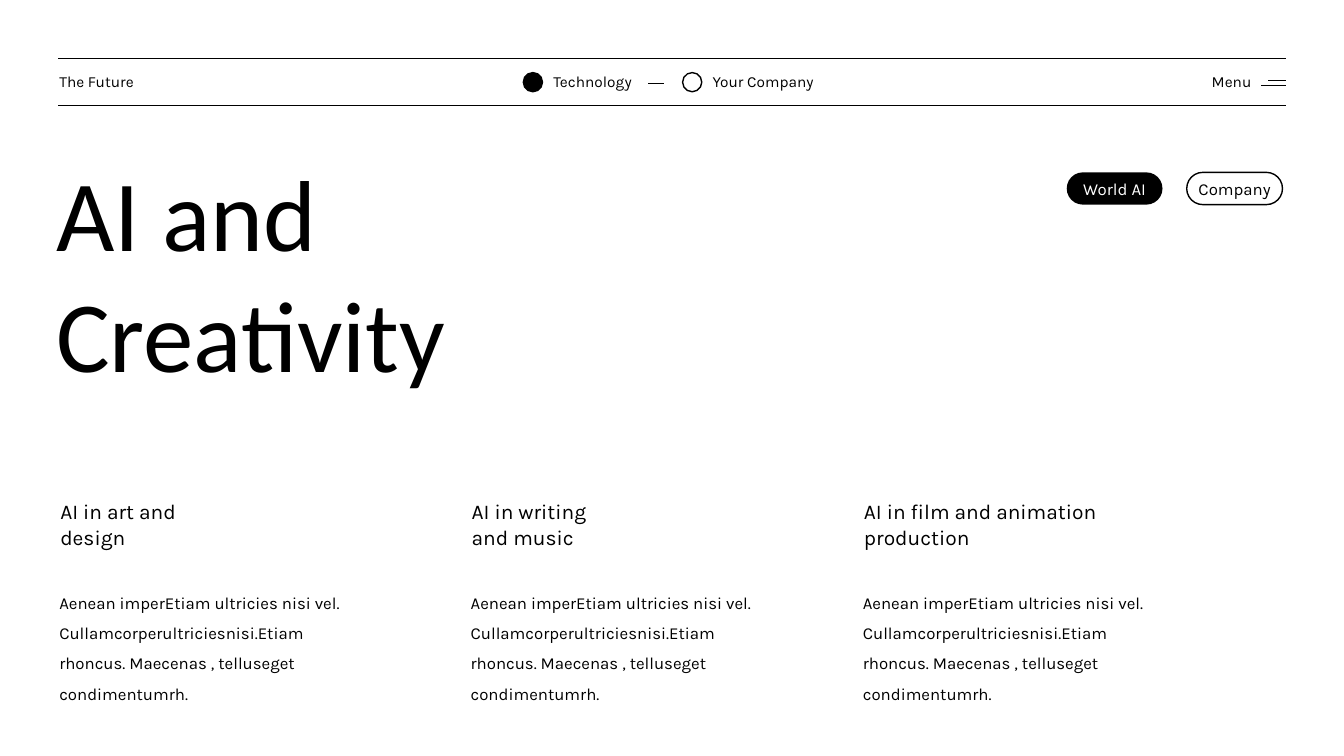
"""Build the AI and Creativity slide."""
from dataclasses import dataclass

from lxml.etree import SubElement
from pptx import Presentation
from pptx.dml.color import RGBColor
from pptx.enum.shapes import MSO_CONNECTOR, MSO_SHAPE
from pptx.enum.text import MSO_ANCHOR, MSO_AUTO_SIZE, PP_ALIGN
from pptx.oxml.ns import qn
from pptx.shapes.autoshape import Shape
from pptx.slide import Slide
from pptx.text.text import TextFrame
from pptx.util import Inches, Pt

BLACK = RGBColor(0x00, 0x00, 0x00)
WHITE = RGBColor(0xFF, 0xFF, 0xFF)
BODY = (
    "Aenean imperEtiam ultricies nisi vel. Cullamcorperultriciesnisi.Etiam",
    "rhoncus. Maecenas , telluseget condimentumrh.",
)


@dataclass
class Rule:
    left: float
    right: float
    top: float
    weight: float = 1


@dataclass
class Label:
    left: float
    top: float
    width: float
    height: float
    lines: tuple[str, ...]
    size: float
    face: str = "Karla"
    space: float = 1


@dataclass
class Column:
    left: float
    width: float
    head: str


@dataclass
class Badge:
    left: float
    top: float
    width: float
    height: float
    kind: MSO_SHAPE
    solid: bool
    text: str = ""


RULES = [
    Rule(0.58, 12.75, 0.58, 0.75),
    Rule(0.58, 12.75, 1.05, 0.75),
    Rule(12.58, 12.75, 0.8),
    Rule(12.51, 12.75, 0.85),
    Rule(6.43, 6.59, 0.83),
]
LABELS = [
    Label(left, 0.67, width, 0.29, (text,), 11)
    for left, width, text in [
        (0.49, 1.19, "The Future"),
        (5.39, 1.28, "Technology"),
        (6.97, 1.38, "Your Company"),
        (11.92, 0.83, "Menu"),
    ]
] + [Label(0.46, 1.45, 6.67, 2.52, ("AI and Creativity",), 72, "Calibri")]
COLUMNS = [
    Column(0.5, 1.7, "AI in art and design"),
    Column(4.58, 1.7, "AI in writing and music"),
    Column(8.47, 3.58, "AI in film and animation production"),
]
BADGES = [
    Badge(5.19, 0.72, 0.19, 0.19, MSO_SHAPE.OVAL, True),
    Badge(6.77, 0.72, 0.19, 0.19, MSO_SHAPE.OVAL, False),
    Badge(10.58, 1.71, 0.95, 0.32, MSO_SHAPE.ROUNDED_RECTANGLE, True, "World AI"),
    Badge(11.77, 1.71, 0.95, 0.32, MSO_SHAPE.ROUNDED_RECTANGLE, False, "Company"),
]


def write(frame: TextFrame, lines: tuple[str, ...], size: float,
          face: str = "Karla", color: RGBColor = BLACK, space: float = 1) -> None:
    for index, line in enumerate(lines):
        para = frame.add_paragraph() if index else frame.paragraphs[0]
        para.text = line
        para.line_spacing = space
        para.font.size = Pt(size)
        para.font.name = face
        para.font.color.rgb = color


def draw_rule(slide: Slide, rule: Rule) -> None:
    top = Inches(rule.top)
    line = slide.shapes.add_connector(
        MSO_CONNECTOR.STRAIGHT, Inches(rule.left), top, Inches(rule.right), top)
    line.line.color.rgb = BLACK
    line.line.width = Pt(rule.weight)
    SubElement(line.element.spPr, qn("a:effectLst"))


def draw_label(slide: Slide, label: Label) -> None:
    box = slide.shapes.add_textbox(
        Inches(label.left), Inches(label.top), Inches(label.width), Inches(label.height))
    frame = box.text_frame
    frame.word_wrap = True
    frame.auto_size = MSO_AUTO_SIZE.SHAPE_TO_FIT_TEXT
    write(frame, label.lines, label.size, label.face, space=label.space)


def draw_column(slide: Slide, column: Column) -> None:
    draw_label(slide, Label(column.left, 4.9, column.width, 0.61, (column.head,), 15))
    draw_label(slide, Label(column.left - 0.01, 5.73, 3.77, 1.28, BODY, 12, space=1.5))


def fill_badge(shape: Shape, badge: Badge) -> None:
    shape.adjustments[0] = 0.5
    frame = shape.text_frame
    frame.margin_left = frame.margin_right = 0
    frame.margin_top = frame.margin_bottom = 0
    frame.word_wrap = False
    frame.vertical_anchor = MSO_ANCHOR.MIDDLE
    write(frame, (badge.text,), 12, color=WHITE if badge.solid else BLACK)
    frame.paragraphs[0].alignment = PP_ALIGN.CENTER


def draw_badge(slide: Slide, badge: Badge) -> None:
    shape = slide.shapes.add_shape(
        badge.kind, Inches(badge.left), Inches(badge.top),
        Inches(badge.width), Inches(badge.height))
    shape.shadow.inherit = False
    if badge.solid:
        shape.fill.solid()
        shape.fill.fore_color.rgb = BLACK
    else:
        shape.fill.background()
    if badge.solid and badge.text:
        shape.line.fill.background()
    else:
        shape.line.color.rgb = BLACK
        shape.line.width = Pt(1)
    if badge.text:
        fill_badge(shape, badge)


def main() -> None:
    deck = Presentation()
    deck.slide_width = Inches(13.33)
    deck.slide_height = Inches(7.5)
    slide = deck.slides.add_slide(deck.slide_layouts[6])
    for rule in RULES:
        draw_rule(slide, rule)
    for label in LABELS:
        draw_label(slide, label)
    for column in COLUMNS:
        draw_column(slide, column)
    for badge in BADGES:
        draw_badge(slide, badge)
    deck.save("out.pptx")


if __name__ == "__main__":
    main()
